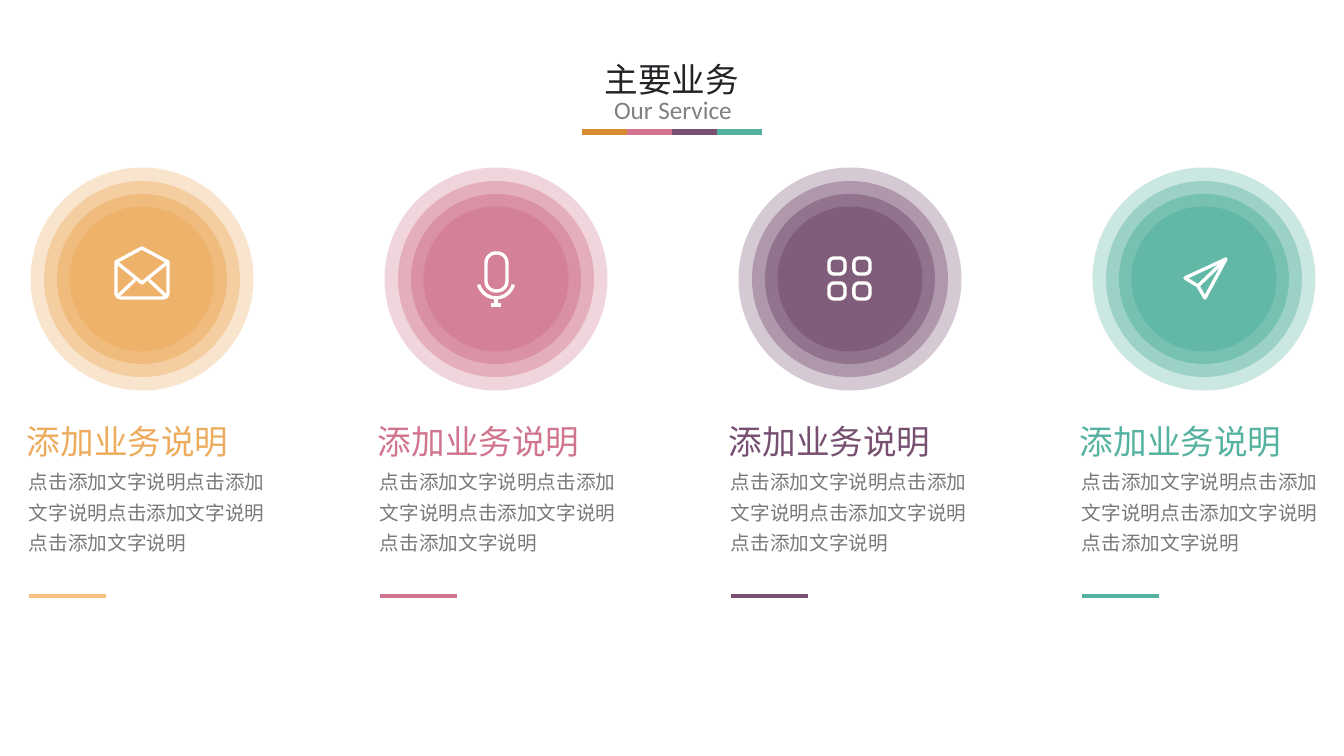
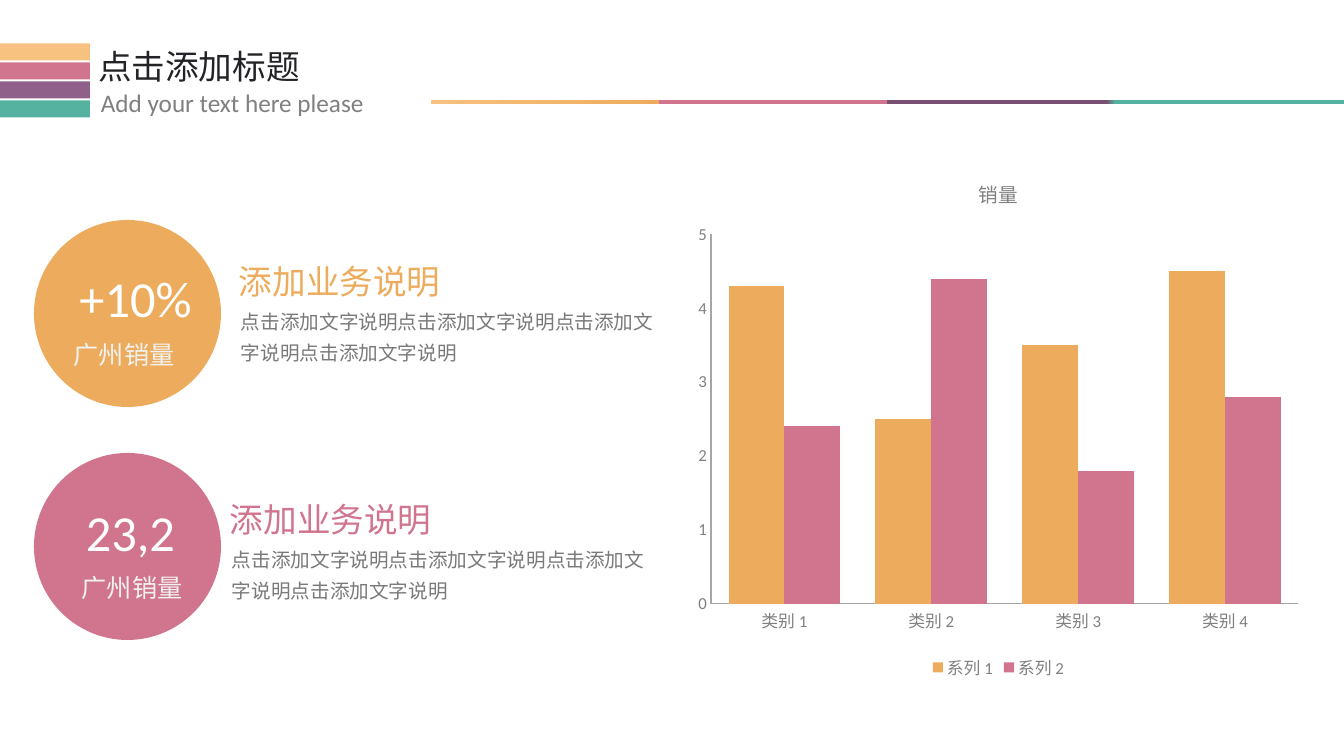
from math import cos, radians, sin

from lxml import etree
from pptx import Presentation
from pptx.chart.data import CategoryChartData
from pptx.dml.color import RGBColor
from pptx.enum.chart import XL_CHART_TYPE, XL_LEGEND_POSITION, XL_TICK_MARK
from pptx.enum.shapes import MSO_CONNECTOR, MSO_SHAPE
from pptx.enum.text import MSO_ANCHOR, MSO_AUTO_SIZE, PP_ALIGN
from pptx.oxml.ns import qn
from pptx.util import Emu, Pt

LEFT, CENTER, TOP = PP_ALIGN.LEFT, PP_ALIGN.CENTER, MSO_ANCHOR.TOP
NO_AUTOFIT = MSO_AUTO_SIZE.NONE
ELLIPSE, RECTANGLE = MSO_SHAPE.OVAL, MSO_SHAPE.RECTANGLE
STRAIGHT = MSO_CONNECTOR.STRAIGHT
COLUMNS = XL_CHART_TYPE.COLUMN_CLUSTERED
BOTTOM = XL_LEGEND_POSITION.BOTTOM
NO_TICK = XL_TICK_MARK.NONE

PX = 914400 / 100.8
TITLE_ONLY = 5
CJK_FONT, LATIN_FONT = "Noto Sans CJK SC", "Calibri"

COLORS = {
    "gold": "EDAC5D", "light gold": "F7C17F", "dark gold": "D58C2E",
    "pink": "D1758E", "plum": "774F71", "light plum": "8F608A",
    "teal": "55B2A0", "ink": "232226", "gray": "808080", "body": "797979",
    "axis": "A6A6A6", "white": "FFFFFF", "off white": "F2F2F2",
}
STYLES = {
    "title": {"name": CJK_FONT, "size": Pt(24), "color": "ink"},
    "subtitle": {"name": LATIN_FONT, "size": Pt(18), "color": "gray"},
    "heading": {"name": CJK_FONT, "size": Pt(24)},
    "body": {"name": LATIN_FONT, "size": Pt(14), "color": "body"},
    "number": {"name": LATIN_FONT, "size": Pt(36), "color": "white"},
    "caption": {"name": LATIN_FONT, "size": Pt(18), "color": "off white"},
    "chart": {"name": LATIN_FONT, "size": Pt(12), "color": "gray"},
    "chart title": {"name": LATIN_FONT, "size": Pt(14), "color": "gray", "bold": False},
}

# Content
HEADING = "添加业务说明"
SENTENCE = "点击添加文字说明"
SERVICES = [  # colour, underline colour, icon
    ("gold", "light gold", "envelope"),
    ("pink", "pink", "microphone"),
    ("plum", "plum", "grid"),
    ("teal", "teal", "plane"),
]
RINGS = [(223, 30), (196, 40), (170, 50), (145, 60)]  # diameter, opacity
TITLE_RULE = ["dark gold", "pink", "plum", "teal"]
STRIPES = ["light gold", "pink", "light plum", "teal"]
BAND_STOPS = [
    (0, "light gold"), (25, "gold"), (25, "pink"), (50, "pink"),
    (50, "plum"), (74, "plum"), (75, "teal"), (100, "teal"),
]
SALES = [
    {"color": "gold", "number": "+10%", "caption": "广州销量", "circle": (34, 220),
     "number_at": (66, 262), "caption_at": (57, 334), "text_at": (229, 256)},
    {"color": "pink", "number": "23,2", "caption": "广州销量", "circle": (34, 453),
     "number_at": (61, 496), "caption_at": (65, 567), "text_at": (220, 494)},
]
CHART_TITLE = "销量"
CATEGORIES = ["类别 1", "类别 2", "类别 3", "类别 4"]
SERIES = [
    ("系列 1", "gold", (4.3, 2.5, 3.5, 4.5)),
    ("系列 2", "pink", (2.4, 4.4, 1.8, 2.8)),
]


def px(*lengths):
    return [Emu(round(length * PX)) for length in lengths]


def rgb(color):
    return RGBColor.from_string(COLORS[color])


def arc(x, y, radius, start, end, step=15):
    return [(x + radius * cos(radians(angle)), y + radius * sin(radians(angle)))
            for angle in range(start, end + 1, step)]


def rounded_box(left, top, width, height, radius):
    right, bottom = left + width - radius, top + height - radius
    left, top = left + radius, top + radius
    corners = [(right, bottom), (left, bottom), (left, top), (right, top)]
    return [point for turn, (x, y) in enumerate(corners)
            for point in arc(x, y, radius, 90 * turn, 90 * turn + 90)]


# Icon strokes around the circle centre: (points, closed)
ICONS = {
    "envelope": [
        ([(0, -31), (26, -17)] + arc(21, 14, 5, 0, 90)
         + arc(-21, 14, 5, 90, 180) + [(-26, -17)], True),
        ([(-26, -17), (0, 4), (26, -17)], False),
        ([(-25, 18), (-7, 1)], False),
        ([(25, 18), (7, 1)], False),
    ],
    "microphone": [
        (rounded_box(-10, -26, 21, 38, 10), True),
        (arc(0, 1, 18, 15, 165), False),
        ([(0, 19), (0, 26)], False),
        ([(-5, 26), (5, 26)], False),
    ],
    "grid": [(rounded_box(x, y, 16, 16, 5), True)
             for x in (-21, 4) for y in (-21, 4)],
    "plane": [
        ([(22, -20), (-19, -1), (-6, 7), (1, 19)], True),
        ([(-6, 7), (22, -20)], False),
    ],
}


def format_font(font, style, color=None):
    values = dict(STYLES[style])
    font.color.rgb = rgb(color or values["color"])
    values.pop("color", None)
    for attribute, value in values.items():
        setattr(font, attribute, value)


def write(shape, text, style, color=None, align=LEFT, spacing=1.0):
    frame = shape.text_frame
    frame.text = text
    for attribute, value in {"word_wrap": True, "auto_size": NO_AUTOFIT,
                             "vertical_anchor": TOP}.items():
        setattr(frame, attribute, value)
    paragraph = frame.paragraphs[0]
    paragraph.alignment, paragraph.line_spacing = align, spacing
    run = paragraph.runs[0]
    format_font(run.font, style, color)
    east_asian = etree.SubElement(run.font._element, qn("a:ea"))
    east_asian.set("typeface", CJK_FONT)


def add_text(slide, box, text, style, **options):
    write(slide.shapes.add_textbox(*px(*box)), text, style, **options)


def add_titles(slide, title, title_box, subtitle, subtitle_box, align=LEFT):
    shape = slide.shapes.title
    shape.left, shape.top, shape.width, shape.height = px(*title_box)
    write(shape, title, "title", align=align)
    add_text(slide, subtitle_box, subtitle, "subtitle", align=align)


def add_filled(slide, kind, box, color, opacity=100):
    shape = slide.shapes.add_shape(kind, *px(*box))
    shape.shadow.inherit = False
    shape.fill.solid()
    shape.fill.fore_color.rgb = rgb(color)
    shape.line.fill.background()
    if opacity < 100:
        fill_color = shape._element.spPr.find(".//" + qn("a:srgbClr"))
        etree.SubElement(fill_color, qn("a:alpha")).set("val", str(opacity * 1000))
    return shape


def add_rule(slide, left, y, width, color, weight):
    rule = slide.shapes.add_connector(STRAIGHT, *px(left, y, left + width, y))
    rule.line.color.rgb = rgb(color)
    rule.line.width = Pt(weight)
    etree.SubElement(rule._element.spPr, qn("a:effectLst"))


def add_explanation(slide, left, top, width, height, color):
    add_text(slide, (left, top, 265, 50), HEADING, "heading", color=color)
    add_text(slide, (left + 2, top + 42, width, height), SENTENCE * 4, "body", spacing=1.3)


def add_icon(slide, icon, x, y):
    # Points are kept to a tenth of a px
    strokes = [([(px_x * 10, px_y * 10) for px_x, px_y in points], closed)
               for points, closed in ICONS[icon]]
    builder = slide.shapes.build_freeform(*strokes[0][0][0], scale=PX / 10)
    for points, closed in strokes:
        builder.move_to(*points[0])
        builder.add_line_segments(points[1:], close=closed)
    shape = builder.convert_to_shape(*px(x, y))
    shape.shadow.inherit = False
    shape.fill.background()
    shape.line.color.rgb = rgb("white")
    shape.line.width = Pt(2.4)


def add_gradient_band(slide, box):
    band = add_filled(slide, RECTANGLE, box, "gold")
    band.fill.gradient()
    band.fill.gradient_angle = 0
    stops = band._element.spPr.find(".//" + qn("a:gsLst"))
    for stop in list(stops):
        stops.remove(stop)
    for position, color in BAND_STOPS:
        stop = etree.SubElement(stops, qn("a:gs"), pos=str(position * 1000))
        etree.SubElement(stop, qn("a:srgbClr"), val=COLORS[color])


def add_sales_chart(slide, box):
    data = CategoryChartData()
    data.categories = CATEGORIES
    for name, _, values in SERIES:
        data.add_series(name, values)
    chart = slide.shapes.add_chart(COLUMNS, *px(*box), data).chart
    format_font(chart.font, "chart")

    chart.has_title = True
    chart.chart_title.include_in_layout = False
    chart.chart_title.text_frame.text = CHART_TITLE
    title_run = chart.chart_title.text_frame.paragraphs[0].runs[0]
    format_font(title_run.font, "chart title")
    chart.has_legend = True
    chart.legend.position = BOTTOM
    chart.legend.include_in_layout = False
    format_font(chart.legend.font, "chart")

    for axis in (chart.category_axis, chart.value_axis):
        axis.has_major_gridlines = False
        axis.major_tick_mark = axis.minor_tick_mark = NO_TICK
        axis.format.line.color.rgb = rgb("axis")
        axis.format.line.width = Pt(0.75)
        format_font(axis.tick_labels.font, "chart")
    for attribute, value in {"minimum_scale": 0, "maximum_scale": 5, "major_unit": 1}.items():
        setattr(chart.value_axis, attribute, value)

    plot = chart.plots[0]
    plot.gap_width, plot.overlap, plot.vary_by_categories = 63, 0, False
    for series, (_, color, _) in zip(plot.series, SERIES):
        series.format.fill.solid()
        series.format.fill.fore_color.rgb = rgb(color)


def build_services(slide):
    add_titles(slide, "主要业务", (566, 54, 212, 50),
               "Our Service", (577, 89, 192, 40), align=CENTER)
    for index, color in enumerate(TITLE_RULE):
        add_rule(slide, 582 + 45 * index, 132, 45, color, 3.75)
    for index, (color, underline, icon) in enumerate(SERVICES):
        # Circles and text columns keep slightly different pitches
        center_x, center_y = 142 + 354 * index, 279
        for size, opacity in RINGS:
            box = (center_x - size / 2, center_y - size / 2, size, size)
            add_filled(slide, ELLIPSE, box, color, opacity)
        add_icon(slide, icon, center_x, center_y)
        left = 17 + 351 * index
        add_explanation(slide, left, 416, 268, 103, color)
        add_rule(slide, left + 12, 596, 77, underline, 3)


def build_sales(slide):
    for index, color in enumerate(STRIPES):
        add_filled(slide, RECTANGLE, (0, 43.5 + 19 * index, 90, 17), color)
    add_titles(slide, "点击添加标题", (88, 41, 238, 50),
               "Add your text here please", (91, 82, 370, 40))
    add_gradient_band(slide, (431, 100, 913, 4))
    for sale in SALES:
        add_filled(slide, ELLIPSE, (*sale["circle"], 187, 187), sale["color"])
        add_text(slide, (*sale["number_at"], 139, 72), sale["number"], "number", align=CENTER)
        add_text(slide, (*sale["caption_at"], 134, 40), sale["caption"], "caption", align=CENTER)
        add_explanation(slide, *sale["text_at"], 440, 72, sale["color"])
    add_sales_chart(slide, (686, 158, 625, 526))


def main():
    presentation = Presentation()
    presentation.slide_width, presentation.slide_height = px(1344, 756)
    for build in (build_services, build_sales):
        build(presentation.slides.add_slide(presentation.slide_layouts[TITLE_ONLY]))
    presentation.save("out.pptx")


if __name__ == "__main__":
    main()
